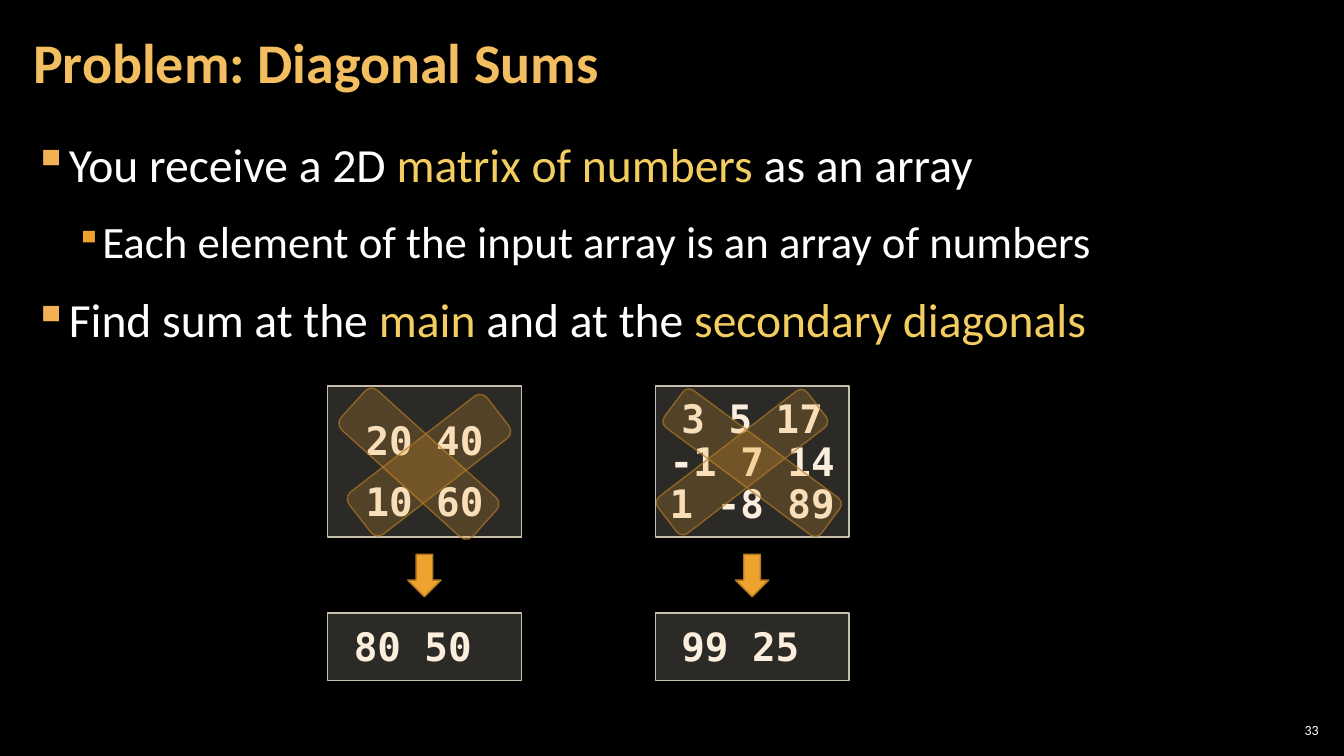
from dataclasses import dataclass

from lxml.etree import SubElement
from pptx import Presentation
from pptx.dml.color import RGBColor as Rgb
from pptx.enum.shapes import MSO_SHAPE as Geo
from pptx.enum.text import MSO_ANCHOR as Anchor, PP_ALIGN as Align
from pptx.oxml.ns import qn
from pptx.util import Inches, Pt

HEX = {
    "back": "000000", "text": "FFFFFF", "title": "F3BE60", "mark": "F3CD60",
    "bullet": "F2B254", "gold": "F0A22E", "edge": "B27822",
    "box": "D9D5C7", "rim": "C7BFAC", "code": "FBEEDC",
}
MONO = "DejaVu Sans Mono"
PAD = (0.12, 0.04, 0.12, 0.04)


@dataclass
class Item:
    runs: list[tuple[str, str]]
    size: int = 34
    level: int = 0
    left: float = 0.33
    hang: float = 0.33
    tint: str = "bullet"
    scale: int = 100


@dataclass
class Band:
    left: float
    top: float
    width: float
    height: float
    turn: float


@dataclass
class Case:
    left: float
    rows: list[str]
    space: float
    sums: str
    bands: list[Band]


ITEMS = [
    Item([("You receive a 2D ", "text"), ("matrix of numbers", "mark"),
          (" as an array", "text")]),
    Item([("Each element of the input array is an array of numbers", "text")],
         32, 1, 0.67, 0.25, "gold", 80),
    Item([("Find sum at the ", "text"), ("main", "mark"),
          (" and at the ", "text"), ("secondary diagonals", "mark")]),
]
CASES = [
    Case(3.25, ["20 40", "10 60"], 1.3, "80 50 ",
         [Band(3.89, 3.72, 0.53, 1.76, 312.1),
          Band(3.99, 3.75, 0.53, 1.73, 52.3)]),
    Case(6.5, ["3 5 17", "-1 7 14", "1 -8 89"], 0.9, "99 25 ",
         [Band(7.23, 3.62, 0.46, 1.94, 306.6),
          Band(7.13, 3.65, 0.46, 1.87, 52.4)]),
]


def rgb(name: str) -> Rgb:
    return Rgb.from_string(HEX[name])


def apply(target, values: dict) -> None:
    for key, value in values.items():
        setattr(target, key, value)


def fade(fill, share: int) -> None:
    tone = fill._xPr.find(qn("a:solidFill"))[0]
    SubElement(tone, qn("a:alpha")).set("val", str(share * 1000))


def write(para, text: str, size: int, tint: str, face: str = "Calibri",
          bold: bool = False) -> None:
    run = para.add_run()
    run.text = text
    apply(run.font, {"size": Pt(size), "name": face, "bold": bold})
    run.font.color.rgb = rgb(tint)


def set_frame(frame, pad: tuple, anchor) -> None:
    sides = ("margin_left", "margin_top", "margin_right", "margin_bottom")
    apply(frame, {side: Inches(gap) for side, gap in zip(sides, pad)})
    apply(frame, {"word_wrap": True, "vertical_anchor": anchor})


def add_text(slide, area: tuple, pad: tuple, anchor):
    frame = slide.shapes.add_textbox(*map(Inches, area)).text_frame
    set_frame(frame, pad, anchor)
    return frame


def add_form(slide, kind, area: tuple, fill: str, line: str,
             solid: int = 100, edge: int = 100):
    form = slide.shapes.add_shape(kind, *map(Inches, area))
    form.shadow.inherit = False
    form.fill.solid()
    form.fill.fore_color.rgb = rgb(fill)
    form.line.color.rgb = rgb(line)
    form.line.width = Pt(1)
    for paint, share in ((form.fill, solid), (form.line.fill, edge)):
        if share < 100:
            fade(paint, share)
    return form


def add_box(slide, area: tuple, rows: list[str], space: float) -> None:
    frame = add_form(slide, Geo.RECTANGLE, area, "box", "rim", 20).text_frame
    set_frame(frame, (0.1, 0.08, 0.1, 0.04), Anchor.MIDDLE)
    for i, row in enumerate(rows):
        para = frame.add_paragraph() if i else frame.paragraphs[0]
        apply(para, {"alignment": Align.CENTER, "line_spacing": space})
        write(para, row, 28, "code", MONO, True)


def add_item(para, item: Item) -> None:
    props = para._p.get_or_add_pPr()
    props.set("marL", str(Inches(item.left)))
    props.set("indent", str(-Inches(item.hang)))
    tone = SubElement(props, qn("a:buClr"))
    SubElement(tone, qn("a:srgbClr")).set("val", HEX[item.tint])
    SubElement(props, qn("a:buSzPct")).set("val", str(item.scale * 1000))
    SubElement(props, qn("a:buChar")).set("char", "▪")
    apply(para, {"level": item.level, "line_spacing": 1.1,
                 "space_after": Pt(6)})
    for text, tint in item.runs:
        write(para, text, item.size, tint)


def add_case(slide, case: Case) -> None:
    width, arrow = 1.92, 0.33
    add_box(slide, (case.left, 3.83, width, 1.5), case.rows, case.space)
    add_box(slide, (case.left, 6.08, width, 0.67), [case.sums], 0.9)
    mid = case.left + (width - arrow) / 2
    add_form(slide, Geo.DOWN_ARROW, (mid, 5.5, arrow, 0.42), "gold", "edge")
    for band in case.bands:
        area = (band.left, band.top, band.width, band.height)
        form = add_form(slide, Geo.ROUNDED_RECTANGLE, area,
                        "gold", "edge", 20, 70)
        form.rotation = band.turn


def main() -> None:
    deck = Presentation()
    apply(deck, {"slide_width": Inches(13.33), "slide_height": Inches(7.5)})
    slide = deck.slides.add_slide(deck.slide_layouts[6])
    slide.background.fill.solid()
    slide.background.fill.fore_color.rgb = rgb("back")

    # Slide number
    para = add_text(slide, (12.65, 7.14, 0.47, 0.21), (0.04,) * 4,
                    Anchor.MIDDLE).paragraphs[0]
    para.alignment = Align.RIGHT
    write(para, "33", 10, "text")

    # Bullet list
    frame = add_text(slide, (0.21, 1.24, 12.91, 6.09), PAD, Anchor.TOP)
    for i, item in enumerate(ITEMS):
        para = frame.add_paragraph() if i else frame.paragraphs[0]
        add_item(para, item)
        para.space_before = Pt(6 if i else 0)

    # Title
    para = add_text(slide, (0.21, 0.04, 10.47, 1.21), PAD,
                    Anchor.MIDDLE).paragraphs[0]
    para.line_spacing = 0.9
    write(para, "Problem: Diagonal Sums", 40, "title", bold=True)

    # Matrices with their diagonal sums
    for case in CASES:
        add_case(slide, case)

    deck.save("out.pptx")


if __name__ == "__main__":
    main()
